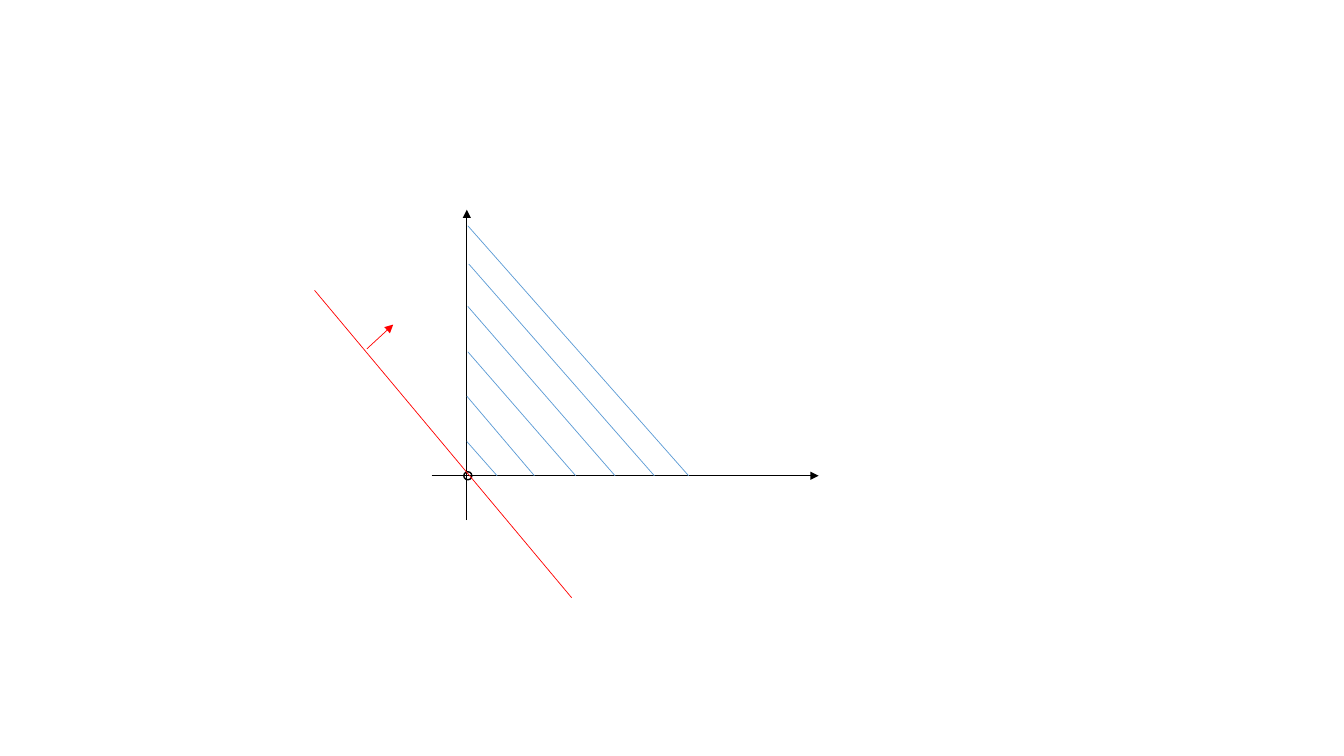
import pptx
import pptx.util
import pptx.dml.color
import pptx.enum.shapes
import pptx.oxml
import pptx.oxml.ns
from pptx.util import Inches

BLACK, BLUE, RED = "000000", "5B9BD5", "FF0000"
ORIGIN_X, ORIGIN_Y = 4.63, 4.72


def set_line(shape, color, width):
    shape.line.color.rgb = pptx.dml.color.RGBColor.from_string(color)
    shape.line.width = pptx.util.Pt(width)


def add_line(group, start, end, color, arrow=False):
    connector = group.shapes.add_connector(
        pptx.enum.shapes.MSO_CONNECTOR.STRAIGHT,
        *[Inches(value) for value in (*start, *end)])
    set_line(connector, color, 0.5)
    if arrow:
        head = pptx.oxml.parse_xml(
            f'<a:tailEnd {pptx.oxml.ns.nsdecls("a")} type="triangle"/>')
        connector.line._get_or_add_ln().append(head)
    connector._element.spPr.append(pptx.oxml.parse_xml(
        f'<a:effectLst {pptx.oxml.ns.nsdecls("a")}/>'))


presentation = pptx.Presentation()
presentation.slide_width = Inches(13.33)
presentation.slide_height = Inches(7.5)
slide = presentation.slides.add_slide(presentation.slide_layouts[6])
diagram = slide.shapes.add_group_shape()

# Axes
add_line(diagram, (ORIGIN_X, 5.16), (ORIGIN_X, 2.08), BLACK, arrow=True)
add_line(diagram, (4.28, ORIGIN_Y), (8.12, ORIGIN_Y), BLACK, arrow=True)

# Hatching of the first quadrant: start on the vertical axis, end on the horizontal
hatch_lines = [(4.63, 4.38, 4.93), (4.63, 3.93, 5.3), (4.64, 3.49, 5.71),
               (4.64, 3.04, 6.1), (4.65, 2.62, 6.49), (4.64, 2.24, 6.83)]
for start_x, start_y, end_x in hatch_lines:
    add_line(diagram, (start_x, start_y), (end_x, ORIGIN_Y), BLUE)

# Ring at the origin
ring = diagram.shapes.add_shape(
    pptx.enum.shapes.MSO_SHAPE.OVAL,
    Inches(4.6), Inches(4.68), Inches(0.08), Inches(0.08))
ring.fill.background()
ring.shadow.inherit = False
set_line(ring, BLACK, 1)

# Red line and its direction arrow
add_line(diagram, (3.12, 2.88), (5.67, 5.93), RED)
add_line(diagram, (3.64, 3.46), (3.9, 3.22), RED, arrow=True)

presentation.save("out.pptx")
